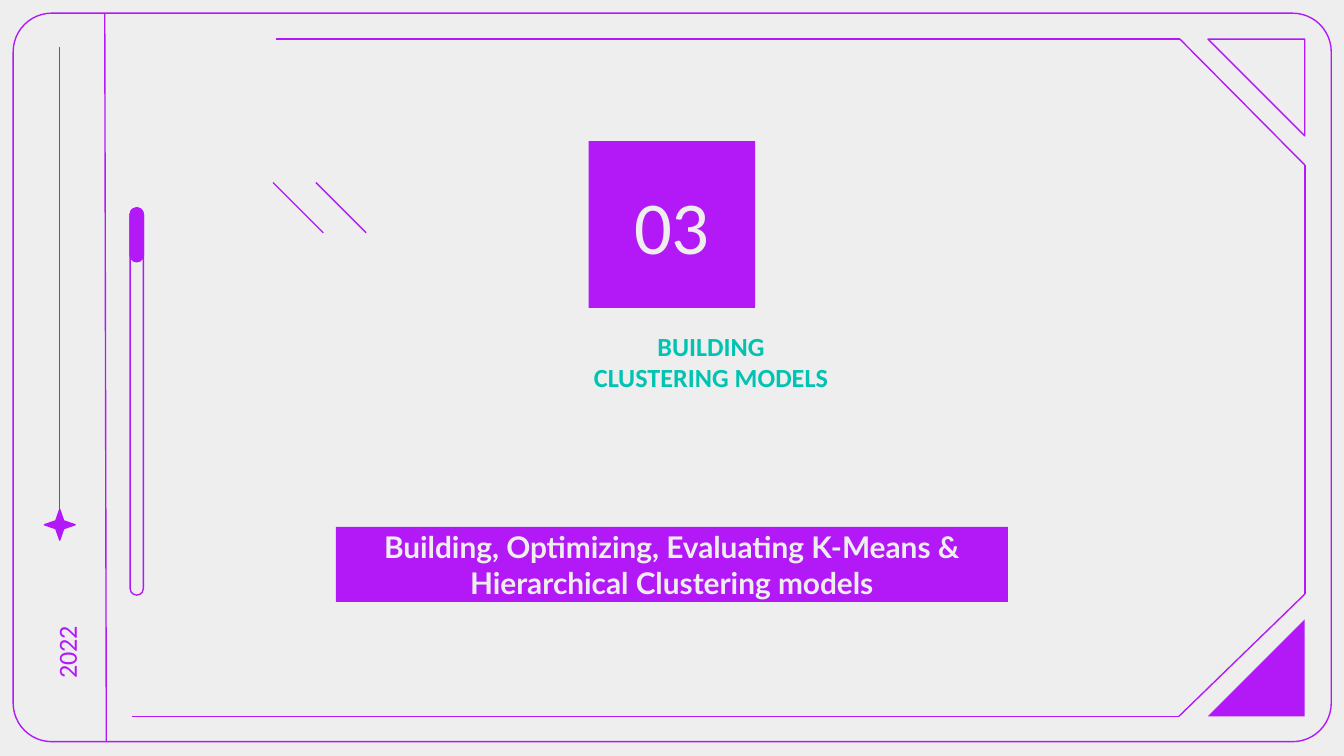
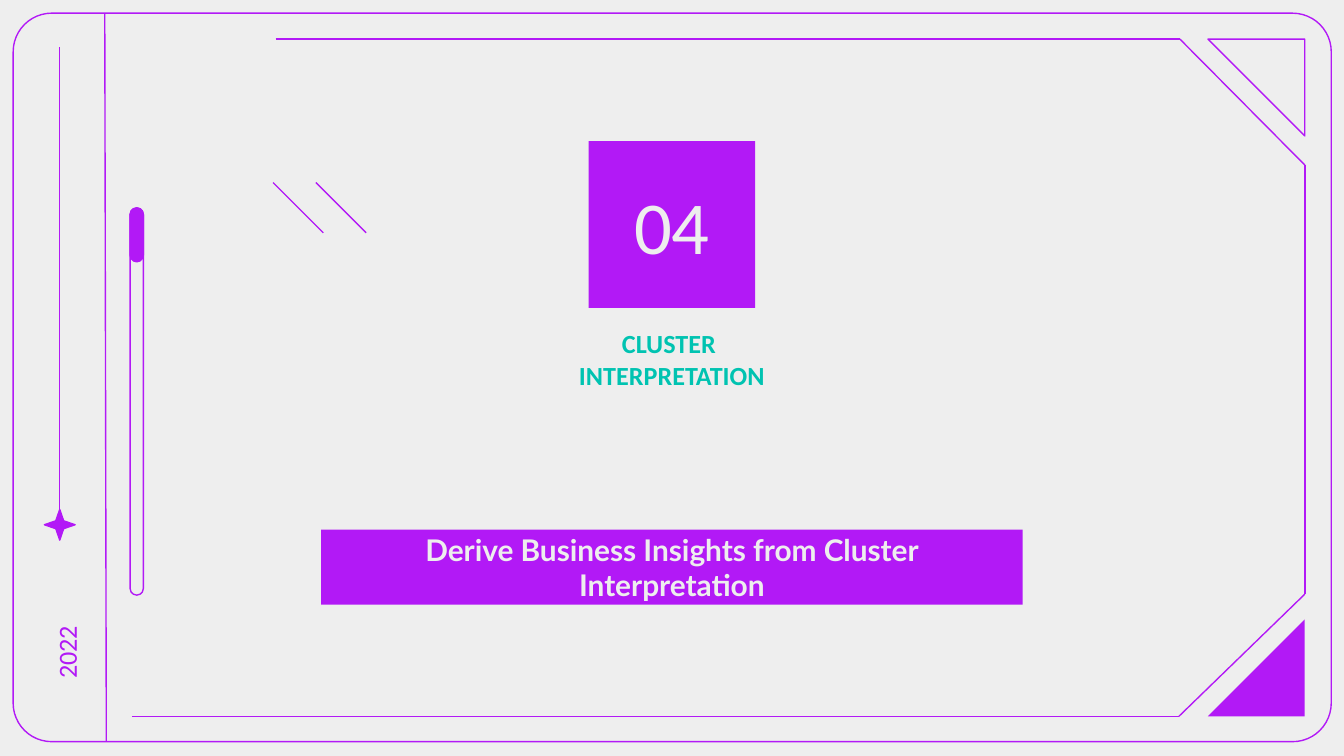
from lxml import etree
from pptx import Presentation
from pptx import util as u
from pptx.dml.color import RGBColor
from pptx.enum import shapes, text
from pptx.oxml.ns import qn

KIND = shapes.MSO_SHAPE
PURPLE, TEAL, PALE = "B219F6", "00C3B1", "EEEEEE"
SANS, HEAD = "Calibri", "Lato"
MID_X = 12.7
LEFT, RIGHT, TOP, BASE = 2.49, 24.66, 0.74, 13.54
EDGES = [
    (1.98, 0.25, 2.01, 14.02),
    (LEFT, BASE, 22.28, BASE),
    (RIGHT, 11.23, 22.28, BASE),
    (5.21, TOP, 22.3, TOP),
    (RIGHT, 3.12, 22.3, TOP),
    (RIGHT, 3.12, RIGHT, 11.23),
]
PARTS = [
    dict(num="03", title="BUILDING\nCLUSTERING MODELS", box=(3.38, 6.12, 20.12, 2.84),
         note="Building, Optimizing, Evaluating K-Means & Hierarchical Clustering models",
         top=9.96, wide=12.7),
    dict(num="04", title="CLUSTER \nINTERPRETATION", box=(4.75, 6.07, 15.9, 3.05),
         note="Derive Business Insights from Cluster Interpretation",
         top=10.01, wide=13.26),
]


def tint(code):
    return RGBColor.from_string(code)


def put(item, **vals):
    for key, val in vals.items():
        setattr(item, key, val)


def cms(vals):
    return [u.Cm(v) for v in vals]


def paint(fill, code):
    if code:
        fill.solid()
        fill.fore_color.rgb = tint(code)
    else:
        fill.background()


def edge(line, code):
    paint(line.fill, code)
    if code:
        line.width = u.Pt(0.75)


def add_line(slide, ends):
    line = slide.shapes.add_connector(shapes.MSO_CONNECTOR.STRAIGHT, *cms(ends))
    edge(line.line, PURPLE)
    etree.SubElement(line._element.spPr, qn("a:effectLst"))


def add_form(slide, kind, box, fill=None, line=None, adj=None, turn=0, flip=False):
    form = slide.shapes.add_shape(kind, *cms(box))
    form.shadow.inherit = False
    form.rotation = turn
    paint(form.fill, fill)
    edge(form.line, line)
    if adj is not None:
        form.adjustments[0] = adj
    if flip:
        form._element.spPr.get_or_add_xfrm().set("flipH", "1")
    return form


def write(form, words, look, code, ring=False, **frame):
    put(form.text_frame, word_wrap=True, **frame)
    para = form.text_frame.paragraphs[0]
    para.text = words
    para.alignment = text.PP_ALIGN.CENTER
    for run in para.runs:
        put(run.font, **look)
        run.font.color.rgb = tint(code)
        if ring:
            props = run.font._element
            line = etree.Element(qn("a:ln"), w=str(u.Pt(0.75)))
            fill = etree.SubElement(line, qn("a:solidFill"))
            etree.SubElement(fill, qn("a:srgbClr"), val=code)
            props.insert(0, line)


def add_block(slide, box, words, look):
    pad = u.Cm(0.25)
    block = add_form(slide, KIND.RECTANGLE, box, fill=PURPLE)
    write(block, words, look, PALE, vertical_anchor=text.MSO_ANCHOR.MIDDLE,
          margin_left=pad, margin_right=pad, margin_top=pad, margin_bottom=pad)


def add_label(slide, box, words, look, code, turn=0):
    label = slide.shapes.add_textbox(*cms(box))
    label.rotation = turn
    write(label, words, look, code, ring=True, vertical_anchor=text.MSO_ANCHOR.TOP)


def add_frame(slide):
    add_form(slide, KIND.ROUNDED_RECTANGLE, (0.25, 0.25, 24.91, 13.77), line=PURPLE, adj=0.053)
    for ends in EDGES:
        add_line(slide, ends)
    side = 1.83
    add_form(slide, KIND.RIGHT_TRIANGLE, (RIGHT - side, BASE - side, side, side),
             fill=PURPLE, flip=True)
    add_form(slide, KIND.RIGHT_TRIANGLE, (RIGHT - side, TOP, side, side),
             line=PURPLE, turn=270, flip=True)


def add_rail(slide):
    for high, fill in ((7.32, None), (1.02, PURPLE)):
        add_form(slide, KIND.ROUNDED_RECTANGLE, (2.46, 3.93, 0.25, high),
                 fill=fill, line=PURPLE, adj=0.5)
    add_label(slide, (-0.08, 12.04, 2.41, 0.58), "2022",
              dict(name=SANS, size=u.Pt(14)), PURPLE, turn=270)
    add_form(slide, KIND.STAR_4_POINT, (0.84, 9.63, 0.58, 0.58),
             fill=PURPLE, line=PURPLE, adj=0.182)
    add_line(slide, (1.13, 10.21, 1.13, 0.89))


def add_part(deck, part):
    slide = deck.slides.add_slide(deck.slide_layouts[6])
    paint(slide.background.fill, PALE)
    add_frame(slide)
    wide, side = part["wide"], 3.15
    add_block(slide, (MID_X - wide / 2, part["top"], wide, 1.42), part["note"],
              dict(name=HEAD, size=u.Pt(16), bold=True))
    add_block(slide, (MID_X - side / 2, 2.67, side, side), part["num"],
              dict(name=SANS, size=u.Pt(40)))
    for x in (5.16, 5.97):
        add_line(slide, (x, 3.45, x + 0.95, 4.4))
    add_label(slide, part["box"], part["title"],
              dict(name=SANS, size=u.Pt(14), bold=True), TEAL)
    add_rail(slide)


def main():
    deck = Presentation()
    put(deck, slide_width=u.Cm(25.4), slide_height=u.Cm(14.29))
    for part in PARTS:
        add_part(deck, part)
    deck.save("out.pptx")


if __name__ == "__main__":
    main()
